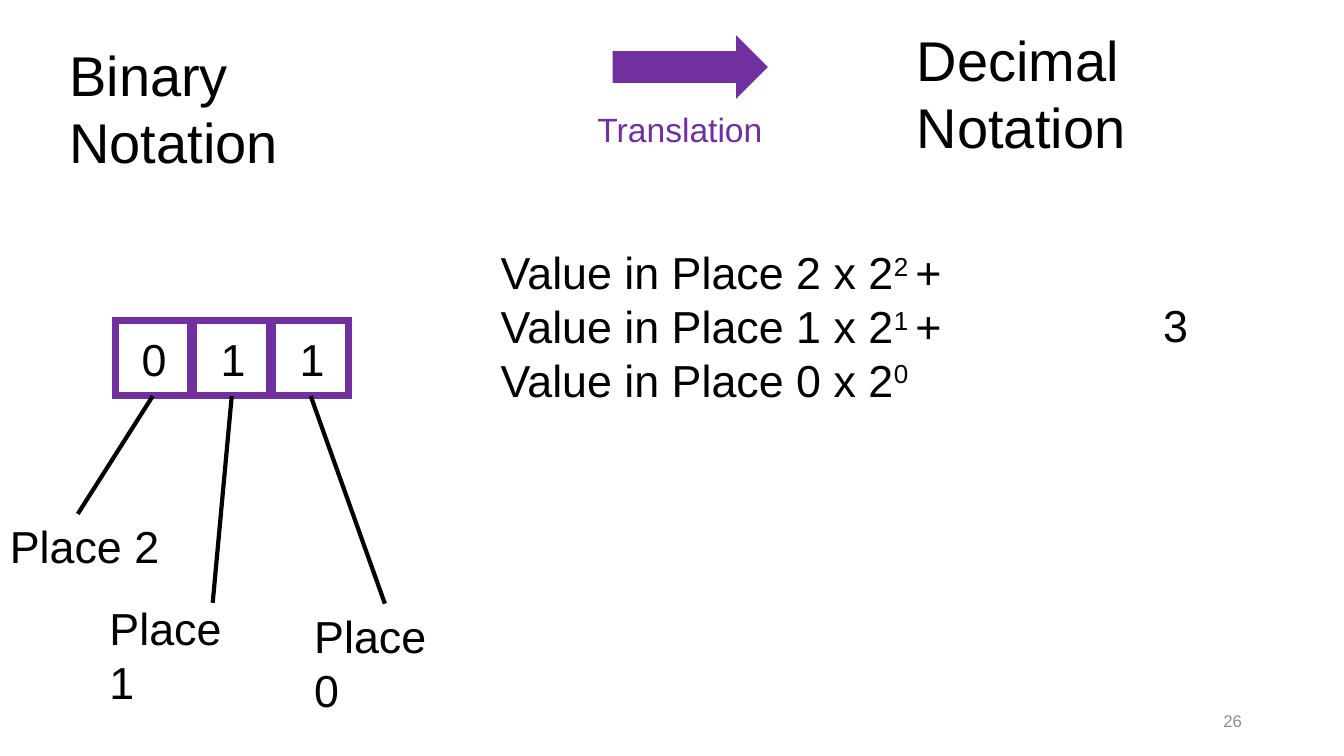
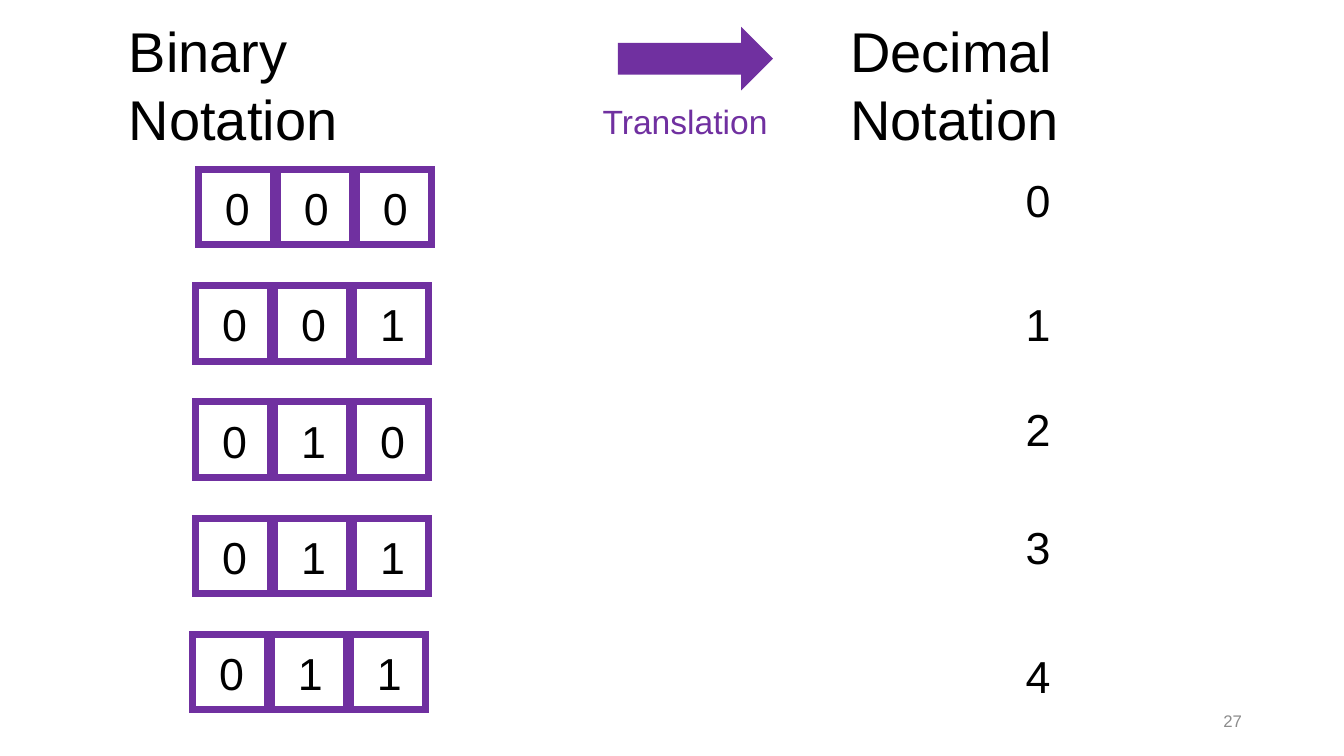
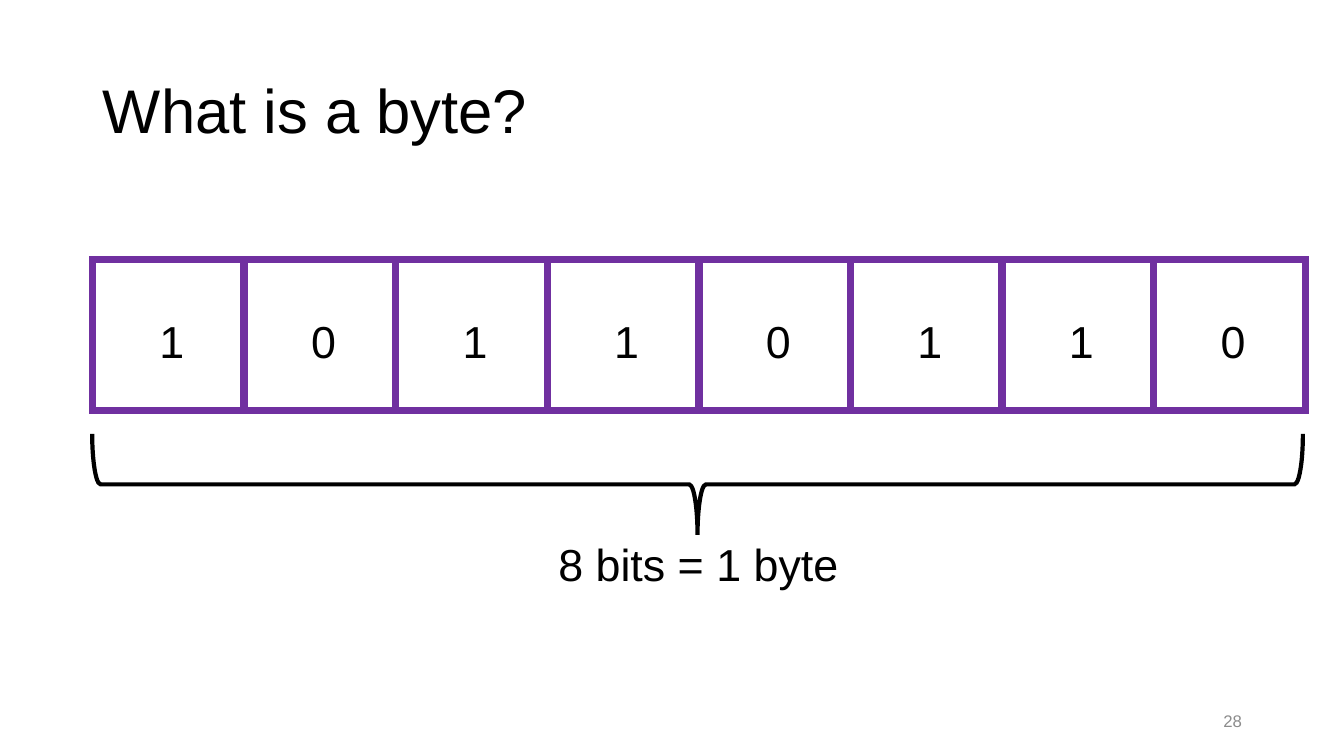
"""Builds three slides on binary notation, decimal notation and bytes."""
import pptx
import pptx.util
import pptx.dml.color
import pptx.enum.shapes
import pptx.enum.text
import pptx.oxml.ns
import lxml.etree

Cm, Pt = pptx.util.Cm, pptx.util.Pt
KINDS = pptx.enum.shapes.MSO_SHAPE
ALIGN = pptx.enum.text.PP_ALIGN
MIDDLE = pptx.enum.text.MSO_ANCHOR.MIDDLE
GROW = pptx.enum.text.MSO_AUTO_SIZE.SHAPE_TO_FIT_TEXT
NOFIT = pptx.enum.text.MSO_AUTO_SIZE.NONE

HUES = {"violet": "7030A0", "ink": "000000", "gray": "8C8C8C"}
SIZES = {"title": 44, "head": 40, "body": 32, "label": 24, "page": 12}
FONT = "Arial"
FIRST = 26

SMALL = {"side": 1.9, "pitch": 1.99, "dx": 0.42, "dy": 0.16}
LARGE = {"side": 3.81, "pitch": 3.82, "dx": 1.43, "dy": 1.24}

HEADS = [
    {"Binary Notation": (1.5, 0.89, 9.93, 1.96),
     "Decimal Notation": (22.86, 0.51, 11.02, 1.96), "arrow": (15.44, 0.89)},
    {"Binary Notation": (3, 0.3, 9.93, 1.96),
     "Decimal Notation": (21.18, 0.3, 11.02, 1.96), "arrow": (15.57, 0.68)},
]
PLACES = [
    ("Place 2", (0, 12.95, 4.47, 1.63), (1.96, 12.95)),
    ("Place 1", (2.51, 15.01, 4.17, 1.63), (5.36, 15.19)),
    ("Place 0", (7.67, 15.21, 4.17, 1.63), (9.7, 15.21)),
]
SUM = [
    [("Value in Place 2 x 2", 0), ("2 ", 30), ("+", 0)],
    [("Value in Place 1 x 2", 0), ("1 ", 30), ("+", 0)],
    [("Value in Place 0 x 2", 0), ("0", 30)],
]
COUNTS = [
    ("000", 5, "0", 4.22),
    ("001", 4.93, "1", 7.34),
    ("010", 4.93, "2", 10.01),
    ("011", 4.93, "3", 12.98),
    ("011", 4.85, "4", 16.21),
]


def tint(hue):
    return pptx.dml.color.RGBColor.from_string(HUES[hue])


def put(item, looks):
    for name, value in looks.items():
        setattr(item, name, value)


def fill(shape, lines, size, hue="ink", align=ALIGN.LEFT, frame=None, para=None):
    body = shape.text_frame
    put(body, {"word_wrap": True, "auto_size": GROW, **(frame or {})})
    for i, line in enumerate(lines):
        part = body.add_paragraph() if i else body.paragraphs[0]
        put(part, {"alignment": align, **(para or {})})
        for words, base in line:
            run = part.add_run()
            run.text = words
            put(run.font, {"name": FONT, "size": Pt(SIZES[size])})
            run.font.color.rgb = tint(hue)
            if base:
                run._r.get_or_add_rPr().set("baseline", str(base * 1000))


def text(shapes, box, words, size="body", **looks):
    lines = [[(words, 0)]] if isinstance(words, str) else words
    fill(shapes.add_textbox(*map(Cm, box)), lines, size, **looks)


def shape(shapes, kind, box, paint=None, line=None, width=0):
    item = shapes.add_shape(kind, *map(Cm, box))
    item.shadow.inherit = False
    for part, hue in ((item.fill, paint), (item.line.fill, line)):
        if hue:
            part.solid()
            part.fore_color.rgb = tint(hue)
        else:
            part.background()
    if line:
        item.line.width = Pt(width)
        edge = item.element.spPr.find(pptx.oxml.ns.qn("a:ln"))
        lxml.etree.SubElement(edge, pptx.oxml.ns.qn("a:miter"), lim="800000")
    return item


def stroke(shapes, start, end):
    line = shapes.add_connector(
        pptx.enum.shapes.MSO_CONNECTOR.STRAIGHT, *map(Cm, start + end))
    line.line.width = Pt(3)
    line.line.color.rgb = tint("ink")
    lxml.etree.SubElement(line.element.spPr, pptx.oxml.ns.qn("a:effectLst"))


def bits(slide, digits, left, top, grid):
    group = slide.shapes.add_group_shape().shapes
    side = grid["side"]
    for i, digit in enumerate(digits):
        x = left + i * grid["pitch"]
        shape(group, KINDS.RECTANGLE, (x, top, side, side), line="violet", width=5)
        text(group, (x + grid["dx"], top + grid["dy"], 1.14, 1.63), digit)


def heads(slide, spots):
    for words, box in spots.items():
        if words != "arrow":
            text(slide.shapes, box, words, "head")
    x, y = spots["arrow"]
    shape(slide.shapes, KINDS.RIGHT_ARROW, (x, y, 3.91, 1.6), paint="violet")
    text(slide.shapes, (x - 2.23, y + 1.73, 7.85, 1.27), "Translation", "label",
         hue="violet", align=ALIGN.CENTER)


def places(slide):
    left, top = 2.9, 8.08
    bits(slide, "011", left, top, SMALL)
    heads(slide, HEADS[0])
    for i, (words, box, end) in enumerate(PLACES):
        x = left + i * SMALL["pitch"] + SMALL["side"] / 2
        stroke(slide.shapes, (x, top + SMALL["side"]), end)
        text(slide.shapes, box, words)
    text(slide.shapes, (12.37, 6.05, 13.08, 4.37), SUM)
    text(slide.shapes, (29.06, 7.39, 1.9, 1.63), "3")


def counts(slide):
    heads(slide, HEADS[1])
    for i, (digits, left, value, y) in enumerate(COUNTS):
        bits(slide, digits, left, 4.27 + i * 2.93, SMALL)
        text(slide.shapes, (25.6, y, 1.14, 1.63), value)


def byte(slide):
    title = slide.shapes.title
    spots = zip(("left", "top", "width", "height"), (2.34, 1.02, 29.21, 3.68))
    put(title, {name: Cm(size) for name, size in spots})
    fill(title, [[("What is a byte?", 0)]], "title",
         frame={"vertical_anchor": MIDDLE, "auto_size": NOFIT},
         para={"line_spacing": 0.9})
    bits(slide, "10110110", 2.34, 6.53, LARGE)
    brace = shape(slide.shapes, KINDS.LEFT_BRACE, (16.31, -3.05, 2.54, 30.51),
                  line="ink", width=3)
    brace.rotation = 270
    text(slide.shapes, (8.97, 13.41, 17.27, 1.63), "8 bits = 1 byte",
         align=ALIGN.CENTER)


def main():
    deck = pptx.Presentation()
    put(deck, {"slide_width": Cm(33.87), "slide_height": Cm(19.05)})
    for i, (draw, layout) in enumerate([(places, 6), (counts, 6), (byte, 5)]):
        slide = deck.slides.add_slide(deck.slide_layouts[layout])
        draw(slide)
        text(slide.shapes, (23.93, 17.65, 7.62, 1.02), str(FIRST + i), "page",
             hue="gray", align=ALIGN.RIGHT,
             frame={"vertical_anchor": MIDDLE, "auto_size": NOFIT})
    deck.save("out.pptx")


if __name__ == "__main__":
    main()
